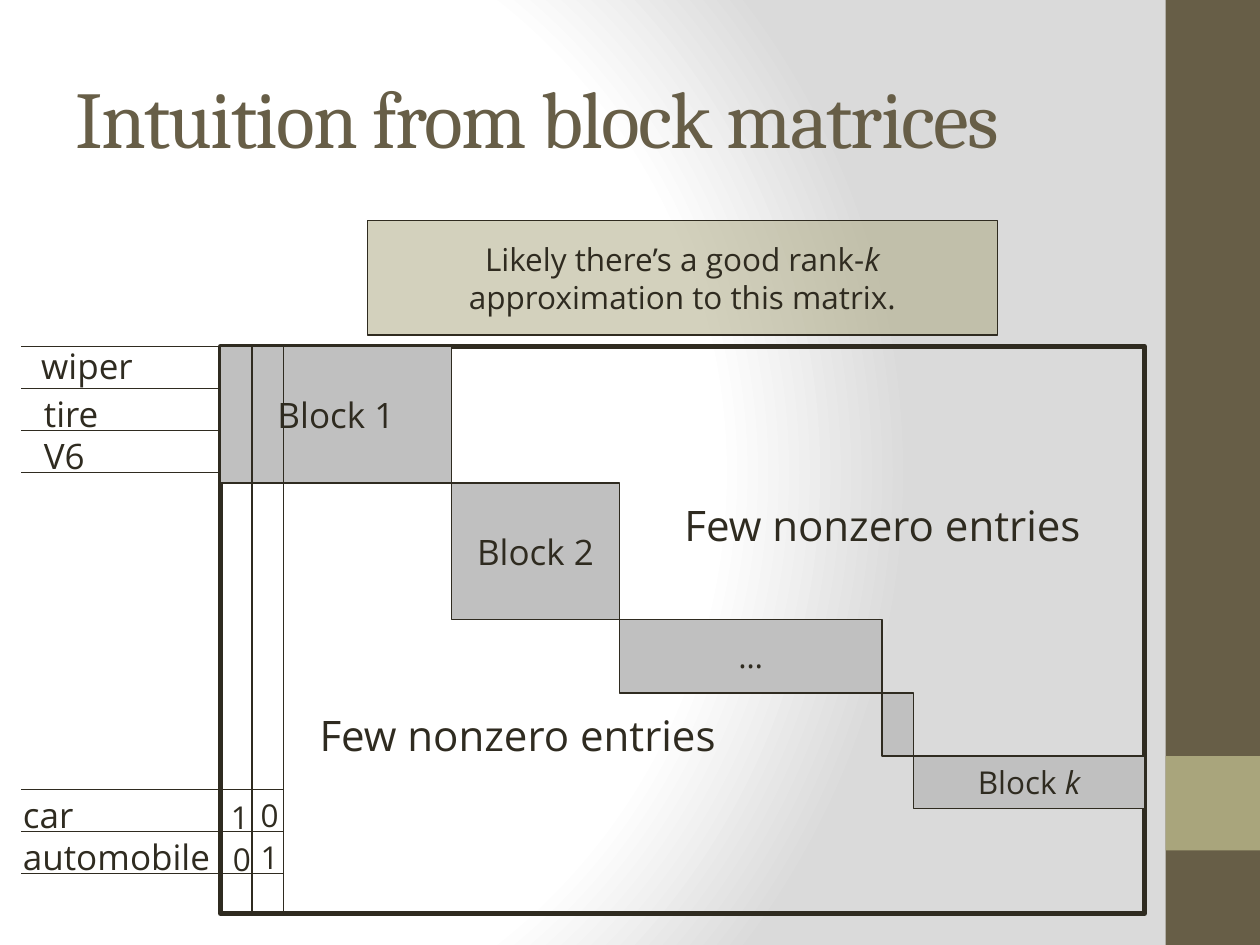
from dataclasses import dataclass

import lxml.etree
import pptx
import pptx.dml.color
import pptx.enum.shapes
import pptx.enum.text
import pptx.oxml
import pptx.oxml.ns
import pptx.util

UNIT = 2.54 / 12  # cm in one grid step, a twelfth of an inch
ROW = 4  # grid steps between row lines
COLUMN = 3  # grid steps between column lines


@dataclass(frozen=True)
class Theme:
    ink: str = "2F2B20"
    brown: str = "675E47"
    olive: str = "A9A57C"
    block: str = "C0C0C0"
    paper: str = "FFFFFF"
    paper_edge: str = "DADADA"
    heading_font: str = "Cambria"
    body_font: str = "Open Sans"
    title: float = 46
    note: float = 24
    label: float = 20
    small: float = 18
    thin: float = 0.75
    thick: float = 3


@dataclass(frozen=True)
class Box:
    """A rectangle in grid steps."""
    left: float
    top: float
    width: float
    height: float

    def inner(self, left, top, width, height):
        return Box(self.left + left, self.top + top, width, height)

    def lengths(self):
        return [grid(value) for value in (self.left, self.top, self.width, self.height)]


THEME = Theme()


def grid(steps):
    return pptx.util.Cm(steps * UNIT)


def colour(value):
    return pptx.dml.color.RGBColor.from_string(value)


def write(shape, lines, size, font=THEME.body_font, ink=THEME.ink, align=None):
    """Each line is a (plain, italic) pair or a plain string."""
    frame = shape.text_frame
    frame.word_wrap = False
    pairs = [(line, "") if isinstance(line, str) else line for line in lines]
    frame.text = "\n".join(plain for plain, _ in pairs)
    for paragraph, (_, italic) in zip(frame.paragraphs, pairs):
        paragraph.alignment = align
        if italic:
            run = paragraph.add_run()
            run.text = italic
            run.font.italic = True
        for run in paragraph.runs:
            run.font.size = pptx.util.Pt(size)
            run.font.name = font
            run.font.color.rgb = colour(ink)


def add_rectangle(slide, box, fill=None, line=None, lines=(), size=THEME.label):
    shape = slide.shapes.add_shape(
        pptx.enum.shapes.MSO_SHAPE.RECTANGLE, *box.lengths())
    shape.shadow.inherit = False
    if fill:
        shape.fill.solid()
        shape.fill.fore_color.rgb = colour(fill)
    else:
        shape.fill.background()
    if line:
        shape.line.color.rgb = colour(THEME.ink)
        shape.line.width = pptx.util.Pt(line)
    else:
        shape.line.fill.background()
    if lines:
        shape.text_frame.vertical_anchor = pptx.enum.text.MSO_ANCHOR.MIDDLE
        write(shape, lines, size, align=pptx.enum.text.PP_ALIGN.CENTER)
    return shape


def add_label(slide, box, text, size):
    shape = slide.shapes.add_textbox(*box.lengths())
    write(shape, [text], size)
    shape.text_frame.auto_size = pptx.enum.text.MSO_AUTO_SIZE.SHAPE_TO_FIT_TEXT


def add_line(slide, x1, y1, x2, y2):
    line = slide.shapes.add_connector(
        pptx.enum.shapes.MSO_CONNECTOR.STRAIGHT, *map(grid, (x1, y1, x2, y2)))
    line.line.color.rgb = colour(THEME.ink)
    line.line.width = pptx.util.Pt(THEME.thin)
    lxml.etree.SubElement(
        line._element.spPr, pptx.oxml.ns.qn("a:effectLst"))


def draw_background(slide):
    """White glow from the left that turns grey towards the right."""
    fill = slide.background.fill
    fill.solid()
    fill.fore_color.rgb = colour(THEME.paper)
    stops = "".join(
        f'<a:gs pos="{position}"><a:srgbClr val="{value}"/></a:gs>'
        for position, value in ((0, THEME.paper), (75000, THEME.paper),
                                (100000, THEME.paper_edge)))
    gradient = pptx.oxml.parse_xml(
        f'<a:gradFill {pptx.oxml.ns.nsdecls("a")} rotWithShape="1">'
        f'<a:gsLst>{stops}</a:gsLst><a:path path="circle">'
        '<a:fillToRect l="20000" t="50000" r="100000" b="50000"/>'
        '</a:path></a:gradFill>')
    solid = next(slide.background._cSld.iter(pptx.oxml.ns.qn("a:solidFill")))
    solid.getparent().replace(solid, gradient)


def draw_side_band(slide, box):
    add_rectangle(slide, box, THEME.brown)
    add_rectangle(slide, box.inner(0, 72, box.width, box.width), THEME.olive)


def draw_title(slide, box):
    shape = slide.shapes.add_textbox(*box.lengths())
    write(shape, ["Intuition from block matrices"], THEME.title,
          THEME.heading_font, THEME.brown)
    shape.text_frame.word_wrap = True
    shape.text_frame.vertical_anchor = pptx.enum.text.MSO_ANCHOR.MIDDLE
    for run in shape.text_frame.paragraphs[0].runs:
        run.font._element.set("spc", "-100")


def draw_matrix(slide, box):
    """Frame with blocks that step down its diagonal."""
    add_rectangle(slide, box, line=THEME.thick)
    blocks = [
        (22, 13, ["Block 1"], THEME.label),
        (16, 13, ["Block 2"], THEME.label),
        (25, 7, ["…"], THEME.small),
        (3, 6, [], THEME.small),
        (22, 5, [("Block ", "k")], THEME.small),
    ]
    left = top = 0
    for width, height, lines, size in blocks:
        add_rectangle(slide, box.inner(left, top, width, height),
                      THEME.block, THEME.thin, lines, size)
        left += width
        top += height
    for left, top in ((8.25, 34), (43, 14)):
        add_label(slide, box.inner(left, top, 41.75, 6),
                  "Few nonzero entries", THEME.note)


def draw_rows(slide, box, line_count, labels):
    for index in range(line_count):
        y = box.top + index * ROW
        add_line(slide, box.left + box.width, y, box.left, y)
    for left, top, width, text in labels:
        add_label(slide, box.inner(left, top, width, 5.15), text, THEME.label)


def draw_columns(slide, box):
    for index in (1, 2):
        x = box.left + index * COLUMN
        add_line(slide, x, box.top, x, box.top + box.height)
    entries = [(-0.2, 42.4, "1"), (2.65, 46.2, "1"),
               (2.65, 42.2, "0"), (0, 46.4, "0")]
    for left, top, text in entries:
        add_label(slide, box.inner(left, top, 4.3, 4.8), text, THEME.small)


def draw_callout(slide, box):
    shape = add_rectangle(
        slide, box, THEME.olive, THEME.thin,
        [("Likely there’s a good rank-", "k"), "approximation to this matrix."],
        THEME.small)
    tint = shape.fill._xPr.find(".//" + pptx.oxml.ns.qn("a:srgbClr"))
    lxml.etree.SubElement(tint, pptx.oxml.ns.qn("a:alpha"), val="50000")


def main():
    presentation = pptx.Presentation()
    presentation.slide_width = grid(120)
    presentation.slide_height = grid(90)
    slide = presentation.slides.add_slide(presentation.slide_layouts[6])
    matrix = Box(21, 33, 88, 54)

    draw_background(slide)
    draw_side_band(slide, Box(111, 0, 9, 90))
    draw_title(slide, Box(6, 3.6, 100, 15))
    draw_matrix(slide, matrix)
    draw_rows(slide, Box(2, matrix.top, 19, 3 * ROW), 4, [
        (0.75, -0.8, 11.3, "wiper"), (1, 3.8, 7.8, "tire"), (1, 7.8, 6.7, "V6")])
    draw_rows(slide, Box(2, 75.2, 25, 2 * ROW), 3, [
        (-1, -0.2, 7.3, "car"), (-1, 3.8, 20.6, "automobile")])
    draw_columns(slide, matrix)
    draw_callout(slide, Box(35, 21, 60, 10.9))
    presentation.save("out.pptx")


if __name__ == "__main__":
    main()
